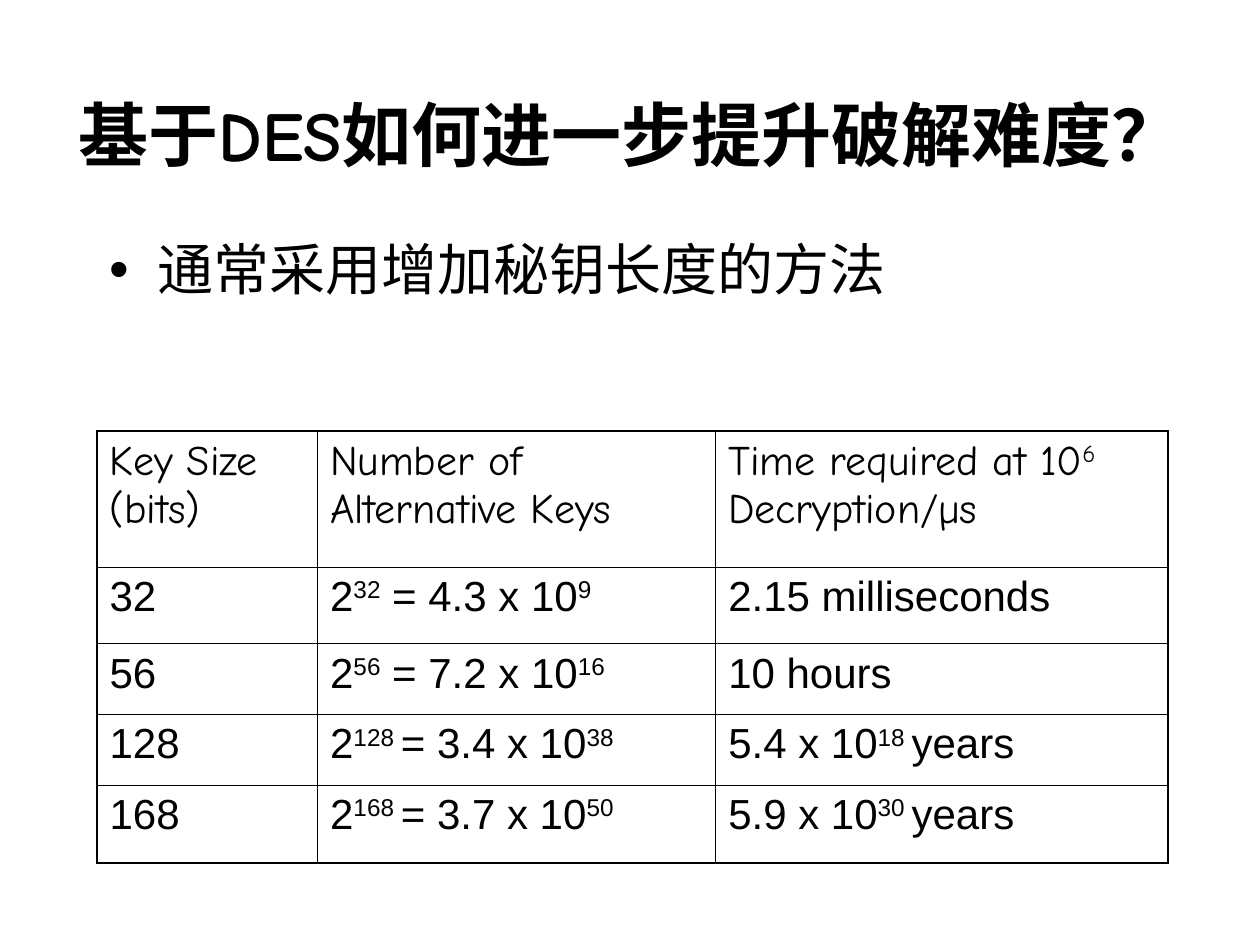
from typing import NamedTuple

from lxml import etree
from pptx import Presentation
from pptx import util as u
from pptx.dml.color import RGBColor
from pptx.enum import text
from pptx.oxml.ns import qn

SLIDE_W, SLIDE_H = u.Inches(10), u.Inches(7.5)
COLORS = {"ink": "000000", "paper": "FFFFFF"}
HAND, SANS = "Comic Neue", "Arial"
OUTER, INNER = u.Pt(1.08), u.Pt(0.45)
COLUMNS = (1.75, 3.16, 3.59)
ROWS = (1.08, 0.61, 0.56, 0.56, 0.62)


class Box(NamedTuple):
    """Left, top, width and height as shares of the slide."""
    x: float
    y: float
    w: float
    h: float

    def emu(self) -> tuple[int, ...]:
        sides = (SLIDE_W, SLIDE_H, SLIDE_W, SLIDE_H)
        return tuple(int(share * side) for share, side in zip(self, sides))


class Span(NamedTuple):
    text: str
    raised: bool = False


class KeyRow(NamedTuple):
    bits: str
    keys: tuple[Span, ...]
    time: tuple[Span, ...]


TITLE_BOX = Box(0.037, 0.09, 0.926, 0.21)
BODY_BOX = Box(0.077, 0.25, 0.826, 0.16)
TABLE_BOX = Box(0.077, 0.456, 0.85, 0.457)


def power(base: str, exponent: str) -> tuple[Span, Span]:
    return Span(base), Span(exponent, True)


KEY_ROWS = (
    KeyRow("Key Size (bits)", (Span("Number of Alternative Keys"),),
           (*power("Time required at 10", "6"), Span(" Decryption/µs"))),
    KeyRow("32", (*power("2", "32"), *power(" = 4.3 x 10", "9")),
           (Span("2.15 milliseconds"),)),
    KeyRow("56", (*power("2", "56"), *power(" = 7.2 x 10", "16")),
           (Span("10 hours"),)),
    KeyRow("128", (*power("2", "128 "), *power("= 3.4 x 10", "38")),
           (*power("5.4 x 10", "18 "), Span("years"))),
    KeyRow("168", (*power("2", "168 "), *power("= 3.7 x 10", "50")),
           (*power("5.9 x 10", "30 "), Span("years"))),
)


def rgb(name: str) -> RGBColor:
    return RGBColor.from_string(COLORS[name])


def add_span(p, span: Span, size: float, font: str, bold: bool = False) -> None:
    r = p.add_run()
    r.text = span.text
    r.font.size, r.font.name, r.font.bold = u.Pt(size), font, bold
    r.font.color.rgb = rgb("ink")
    if span.raised:
        r._r.get_or_add_rPr().set("baseline", "30000")


def add_bullet(p, indent: int) -> None:
    pPr = p._p.get_or_add_pPr()
    pPr.set("marL", str(indent))
    pPr.set("indent", str(-indent))
    etree.SubElement(pPr, qn("a:buFont"), typeface=SANS)
    etree.SubElement(pPr, qn("a:buChar"), char="•")


def set_borders(cell, widths: dict[str, int]) -> None:
    tcPr = cell._tc.get_or_add_tcPr()
    for i, (side, width) in enumerate(widths.items()):
        ln = etree.Element(qn(f"a:ln{side}"), w=str(int(width)))
        fill = etree.SubElement(ln, qn("a:solidFill"))
        etree.SubElement(fill, qn("a:srgbClr"), val=COLORS["ink"])
        tcPr.insert(i, ln)


def add_key_table(s) -> None:
    n_rows, n_cols = len(ROWS), len(COLUMNS)
    table = s.shapes.add_table(n_rows, n_cols, *TABLE_BOX.emu()).table
    table.first_row = table.horz_banding = False
    for column, width in zip(table.columns, COLUMNS):
        column.width = u.Inches(width)
    for row, height in zip(table.rows, ROWS):
        row.height = u.Inches(height)
    for i, key_row in enumerate(KEY_ROWS):
        cells = ((Span(key_row.bits),), key_row.keys, key_row.time)
        for j, spans in enumerate(cells):
            cell = table.cell(i, j)
            cell.fill.solid()
            cell.fill.fore_color.rgb = rgb("paper")
            set_borders(cell, {
                "L": OUTER if j == 0 else INNER,
                "R": OUTER if j == n_cols - 1 else INNER,
                "T": OUTER if i == 0 else INNER,
                "B": OUTER if i == n_rows - 1 else INNER,
            })
            for span in spans:
                add_span(cell.text_frame.paragraphs[0], span, 24,
                         HAND if i == 0 else SANS)


def main() -> None:
    prs = Presentation()
    prs.slide_width, prs.slide_height = SLIDE_W, SLIDE_H
    s = prs.slides.add_slide(prs.slide_layouts[5])

    # Title
    sp = s.shapes.title
    sp.left, sp.top, sp.width, sp.height = TITLE_BOX.emu()
    tf = sp.text_frame
    tf.word_wrap, tf.auto_size = True, text.MSO_AUTO_SIZE.NONE
    tf.vertical_anchor = text.MSO_ANCHOR.TOP
    p = tf.paragraphs[0]
    p.alignment = text.PP_ALIGN.CENTER
    add_span(p, Span("基于DES如何进一步提升破解难度？"), 40, HAND, bold=True)

    # Bullet point
    tf = s.shapes.add_textbox(*BODY_BOX.emu()).text_frame
    tf.word_wrap = True
    p = tf.paragraphs[0]
    p.line_spacing = 0.9
    add_bullet(p, u.Inches(0.38))
    add_span(p, Span("通常采用增加秘钥长度的方法"), 32, HAND)

    # Key size table
    add_key_table(s)
    prs.save("out.pptx")


if __name__ == "__main__":
    main()
